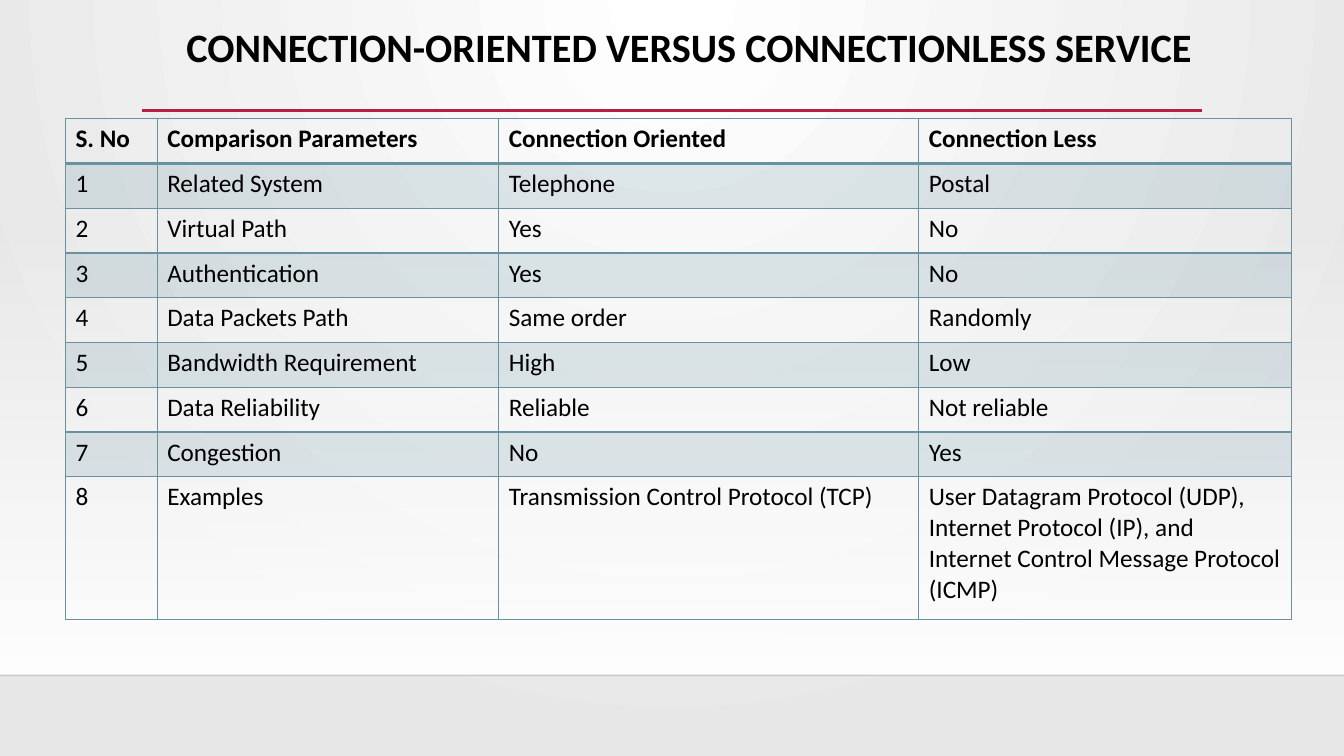
from lxml import etree
from pptx import Presentation
from pptx.dml.color import RGBColor
from pptx.enum.shapes import MSO_CONNECTOR, MSO_SHAPE
from pptx.enum.text import MSO_ANCHOR, PP_ALIGN
from pptx.oxml.ns import qn
from pptx.util import Pt

TEAL = "6892A0"
BLACK = "000000"


def color(hex_string):
    return RGBColor.from_string(hex_string)


def add_child(parent, tag, **attributes):
    child = etree.SubElement(parent, qn(tag))
    for name, value in attributes.items():
        child.set(name, str(value))
    return child


presentation = Presentation()
presentation.slide_width = Pt(960)
presentation.slide_height = Pt(540)
slide = presentation.slides.add_slide(presentation.slide_layouts[6])

# Background: white glow fading to grey
background_fill = slide.background.fill
background_fill.gradient()
for stop, shade in zip(background_fill.gradient_stops, ("FFFFFF", "E7E7E7")):
    stop.color.rgb = color(shade)
gradient = slide._element.find(".//" + qn("a:gradFill"))
gradient.remove(gradient.find(qn("a:lin")))
glow = add_child(gradient, "a:path", path="circle")
add_child(glow, "a:fillToRect", l=43000, t=0, r=43000, b=100000)

# White veil above the floor, clear at the top
veil = slide.shapes.add_shape(MSO_SHAPE.RECTANGLE, Pt(0), Pt(159), Pt(960), Pt(323.4))
veil.shadow.inherit = False
veil.line.fill.background()
veil.fill.gradient()
veil.fill.gradient_angle = 270
for stop in veil.fill.gradient_stops:
    stop.color.rgb = color("FFFFFF")
add_child(veil._element.find(".//" + qn("a:srgbClr")), "a:alpha", val=0)

# Floor line and title rule
for left, right, y, line_color, width, opacity in (
    (0, 960, 482.4, "000001", 1, 20),
    (101.5, 858.5, 79, "B71E42", 2.5, 100),
):
    rule = slide.shapes.add_connector(MSO_CONNECTOR.STRAIGHT, Pt(left), Pt(y), Pt(right), Pt(y))
    rule.line.color.rgb = color(line_color)
    rule.line.width = Pt(width)
    add_child(rule._element.find(".//" + qn("a:srgbClr")), "a:alpha", val=opacity * 1000)
    add_child(rule._element.spPr, "a:effectLst")

# Title
title = slide.shapes.add_textbox(Pt(114.5), Pt(16), Pt(756), Pt(59.5))
title.text_frame.word_wrap = True
title.text_frame.vertical_anchor = MSO_ANCHOR.TOP
paragraph = title.text_frame.paragraphs[0]
paragraph.alignment = PP_ALIGN.CENTER
paragraph.line_spacing = 0.9
run = paragraph.add_run()
run.text = "CONNECTION-ORIENTED VERSUS CONNECTIONLESS SERVICE"
run.font.name = "Calibri"
run.font.size = Pt(28.8)
run.font.bold = True
run.font.color.rgb = color(BLACK)

# Comparison table
rows = [
    ("S. No", "Comparison Parameters", "Connection Oriented", "Connection Less"),
    ("1", "Related System", "Telephone", "Postal"),
    ("2", "Virtual Path", "Yes", "No"),
    ("3", "Authentication", "Yes", "No"),
    ("4", "Data Packets Path", "Same order", "Randomly"),
    ("5", "Bandwidth Requirement", "High", "Low"),
    ("6", "Data Reliability", "Reliable", "Not reliable"),
    ("7", "Congestion", "No", "Yes"),
    ("8", "Examples", "Transmission Control Protocol (TCP)",
     "User Datagram Protocol (UDP), Internet Protocol (IP), "
     "and Internet Control Message Protocol (ICMP)"),
]
column_widths = (65.5, 244, 300, 266.5)
row_heights = [32] * 8 + [102]
table = slide.shapes.add_table(
    len(rows), len(column_widths), Pt(46.8), Pt(84.8),
    Pt(sum(column_widths)), Pt(sum(row_heights)),
).table
table.first_row = False
table.horz_banding = False
for column, width in zip(table.columns, column_widths):
    column.width = Pt(width)

for row_index, texts in enumerate(rows):
    table.rows[row_index].height = Pt(row_heights[row_index])
    for column_index, text in enumerate(texts):
        cell = table.cell(row_index, column_index)
        run = cell.text_frame.paragraphs[0].add_run()
        run.text = text
        run.font.name = "Calibri"
        run.font.size = Pt(18)
        run.font.bold = row_index == 0
        run.font.color.rgb = color(BLACK)

        # Borders, heavier under the header row
        properties = cell._tc.get_or_add_tcPr()
        for side in "LRTB":
            heavy = (row_index, side) in ((0, "B"), (1, "T"))
            border = add_child(properties, f"a:ln{side}", w=Pt(2 if heavy else 1))
            add_child(add_child(border, "a:solidFill"), "a:srgbClr", val=TEAL)

        # Tinted odd rows
        if row_index % 2:
            cell.fill.solid()
            cell.fill.fore_color.rgb = color(TEAL)
            tint = properties.find(qn("a:solidFill")).find(qn("a:srgbClr"))
            add_child(tint, "a:alpha", val=20000)
        else:
            cell.fill.background()

presentation.save("out.pptx")
